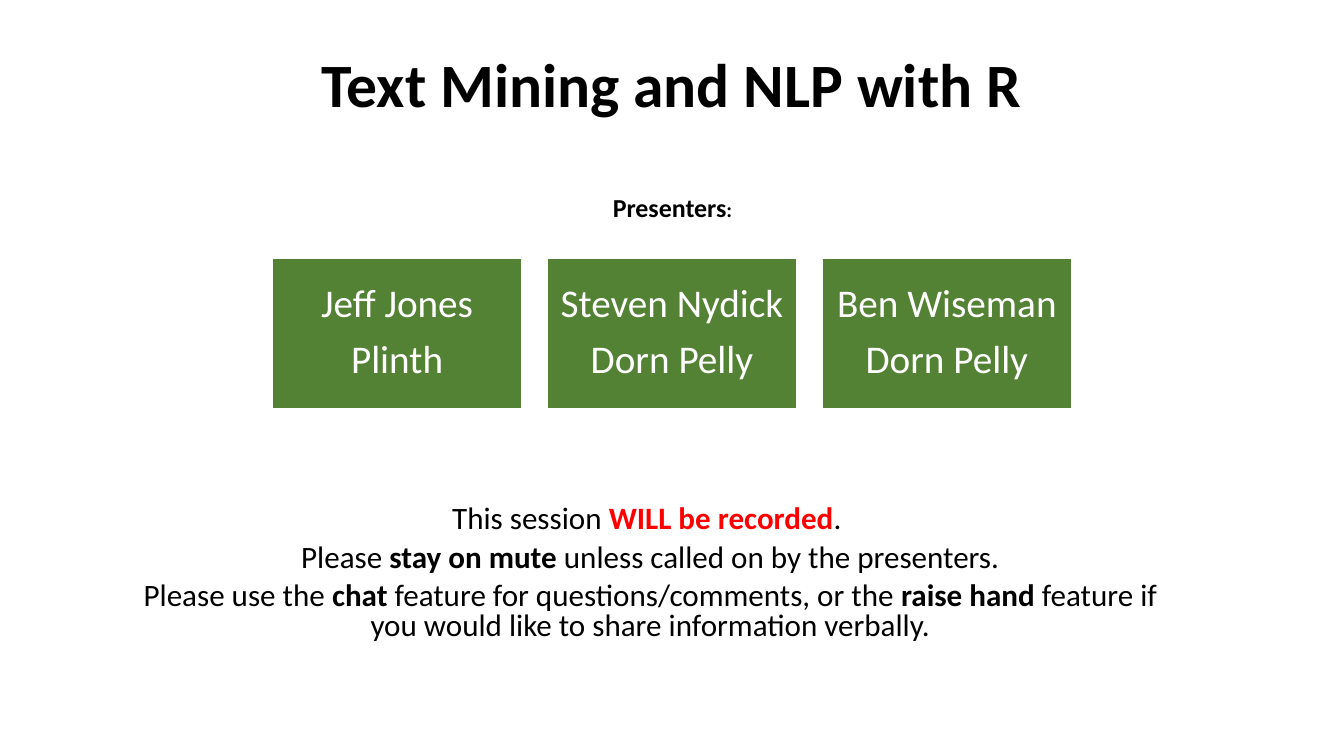
from pptx import Presentation
from pptx.dml.color import RGBColor
from pptx.enum.shapes import MSO_SHAPE
from pptx.enum.text import MSO_ANCHOR, PP_ALIGN
from pptx.util import Inches, Pt

BLACK, WHITE, RED, GREEN = "000000", "FFFFFF", "FF0000", "548235"
BOLD = {"bold": True}
WARNING = {"bold": True, "color": RED}


def rgb(color):
    return RGBColor.from_string(color)


class SlideBuilder:
    """Places styled elements; boxes are (left, top, width, height) in percent of the slide."""

    font_name = "Calibri"

    def __init__(self, presentation):
        self.size = presentation.slide_width, presentation.slide_height
        self.slide = presentation.slides.add_slide(presentation.slide_layouts[6])

    def place(self, box):
        return [round(share / 100 * length) for share, length in zip(box, self.size * 2)]

    def set_lines(self, shape, lines, size, color=BLACK, bold=False, spacing=0.9,
                  before=0, after=0, anchor=MSO_ANCHOR.TOP):
        """Fill a shape with lines, each a list of (text, run style) pairs."""
        frame = shape.text_frame
        frame.word_wrap = True
        frame.vertical_anchor = anchor
        for index, line in enumerate(lines):
            paragraph = frame.add_paragraph() if index else frame.paragraphs[0]
            paragraph.alignment = PP_ALIGN.CENTER
            paragraph.line_spacing = spacing
            paragraph.space_before, paragraph.space_after = Pt(before), Pt(after)
            font = paragraph.font
            font.name, font.size, font.bold = self.font_name, Pt(size), bold
            font.color.rgb = rgb(color)
            for text, style in line:
                run = paragraph.add_run()
                run.text = text
                if "bold" in style:
                    run.font.bold = style["bold"]
                if "color" in style:
                    run.font.color.rgb = rgb(style["color"])
                if "size" in style:
                    run.font.size = Pt(style["size"])

    def text(self, box, lines, size, **style):
        self.set_lines(self.slide.shapes.add_textbox(*self.place(box)), lines, size, **style)

    def card(self, box, lines):
        shape = self.slide.shapes.add_shape(MSO_SHAPE.RECTANGLE, *self.place(box))
        shape.shadow.inherit = False
        shape.fill.solid()
        shape.fill.fore_color.rgb = rgb(GREEN)
        shape.line.color.rgb = rgb(WHITE)
        shape.line.width = Pt(1)
        frame = shape.text_frame
        frame.margin_left = frame.margin_right = Inches(0.11)
        frame.margin_top = frame.margin_bottom = Inches(0.12)
        self.set_lines(shape, [[(line, {})] for line in lines], 28, color=WHITE,
                       after=9.8, anchor=MSO_ANCHOR.MIDDLE)


def main():
    presentation = Presentation()
    presentation.slide_width, presentation.slide_height = Inches(13.33), Inches(7.5)
    builder = SlideBuilder(presentation)

    builder.text((8.55, 5.87, 82.9, 10.8), [[("Text Mining and NLP with R", {})]], 44,
                 bold=True, anchor=MSO_ANCHOR.BOTTOM)
    builder.text((40.36, 25.47, 19.35, 4.8), [[("Presenters", {}), (":", {"size": 14.8})]],
                 18.5, bold=True, spacing=0.8, before=10)

    presenters = [("Jeff Jones", "Plinth"), ("Steven Nydick", "Dorn Pelly"),
                  ("Ben Wiseman", "Dorn Pelly")]
    first_left, pitch = 20.25, 20.45
    for column, presenter in enumerate(presenters):
        builder.card((first_left + column * pitch, 34.13, 18.6, 19.87), presenter)

    session_rules = [
        [("This session ", {}), ("WILL be recorded", WARNING), (". ", {})],
        [("Please ", {}), ("stay on mute ", BOLD),
         ("unless called on by the presenters.", {})],
        [("Please use the ", {}), ("chat", BOLD),
         (" feature for questions/comments, or the ", {}), ("raise hand ", BOLD),
         ("feature if you would like to share information verbally.", {})],
    ]
    builder.text((8.55, 66.27, 79.67, 19.33), session_rules, 22.2, spacing=0.8, before=6)

    presentation.save("out.pptx")


if __name__ == "__main__":
    main()
